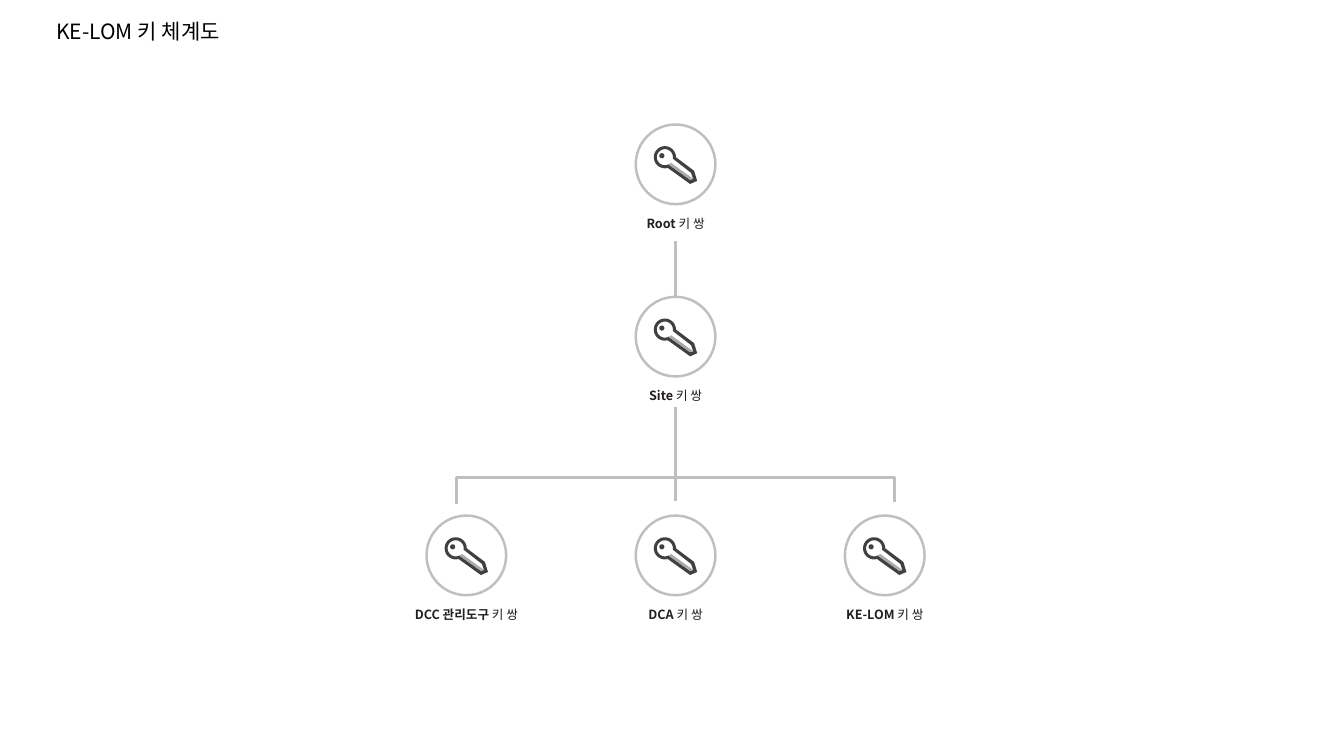
from math import cos, radians, sin

from lxml import etree
from pptx import Presentation
from pptx.dml.color import RGBColor
from pptx.enum import shapes, text
from pptx.oxml import ns
from pptx.util import Inches, Pt

FONT = "Noto Sans CJK KR"
GREY = "BFBFBF"
MID = 6.7
STEP = 2.075
BOW = (-0.105, -0.07)  # centre of the key's round end, from the circle's centre
DOT = (-0.135, -0.085)
PRODUCT = "KE-LOM "
LEVELS = [
    (1.63, ["Root "]),
    (3.34, ["Site "]),
    (5.51, ["DCC 관리도구 ", "DCA ", PRODUCT]),
]


def color(code):
    return RGBColor.from_string(code)


def add_run(para, words, size, code, bold=False):
    run = para.add_run()
    run.text = words
    font = run.font
    font.name, font.size, font.bold = FONT, Pt(size), bold
    font.color.rgb = color(code)
    east = etree.SubElement(font._element, ns.qn("a:ea"))
    east.set("typeface", FONT)


def add_title(slide):
    title = slide.shapes.title
    title.left, title.top = Inches(0.46), Inches(0.17)
    title.width, title.height = Inches(12.2), Inches(0.31)
    frame = title.text_frame
    frame.auto_size = text.MSO_AUTO_SIZE.NONE
    frame.vertical_anchor = text.MSO_ANCHOR.BOTTOM
    para = frame.paragraphs[0]
    para.alignment = text.PP_ALIGN.LEFT
    para.line_spacing = 0.7
    add_run(para, PRODUCT + "키 체계도", 15, "000000")


def add_line(slide, start, end, kind=shapes.MSO_CONNECTOR.STRAIGHT):
    ends = [Inches(v) for v in (*start, *end)]
    line = slide.shapes.add_connector(kind, *ends)
    line.line.color.rgb = color(GREY)
    line.line.width = Pt(2)
    etree.SubElement(line._element.spPr, ns.qn("a:effectLst"))
    return line


def add_fork(slide):
    """Elbow line turned a quarter, so that its crossbar lies above both ends."""
    fork = add_line(slide, (6.71, 7.17), (6.69, 2.82), shapes.MSO_CONNECTOR.ELBOW)
    props = fork._element.spPr
    props.find(ns.qn("a:xfrm")).set("rot", "5400000")
    guides = props.find(ns.qn("a:prstGeom")).find(ns.qn("a:avLst"))
    bend = etree.SubElement(guides, ns.qn("a:gd"))
    bend.set("name", "adj1")
    bend.set("fmla", "val 1350000")


def arc(mid, radius, first, last):
    turns = [radians(first + (last - first) * i / 24) for i in range(25)]
    return [(mid[0] + radius * cos(t), mid[1] + radius * sin(t)) for t in turns]


def add_free(group, x, y, fill, *rings):
    """Draw closed rings, given from the centre x, y; inner rings are holes."""
    build = None
    for ring in rings:
        first, *rest = [(Inches(x + a), Inches(y + b)) for a, b in ring]
        if build is None:
            build = group.shapes.build_freeform(*first)
        else:
            build.move_to(*first)
        build.add_line_segments(rest, close=True)
    free = build.convert_to_shape()
    free.shadow.inherit = False
    free.fill.solid()
    free.fill.fore_color.rgb = color(fill)
    free.line.fill.background()


def add_key(group, x, y):
    body = arc(BOW, 0.1, 65, 365) + [(0.175, 0.075), (0.195, 0.155), (0.145, 0.175)]
    outer = arc(BOW, 0.11, 75, 360) + [(0.185, 0.065), (0.215, 0.165), (0.145, 0.195)]
    inner = arc(BOW, 0.08, 60, 370) + [(0.155, 0.085), (0.175, 0.145),
                                       (0.145, 0.155), (-0.065, 0.005)]
    shade = [(-0.045, -0.015), (-0.065, 0.005), (0.145, 0.155), (0.175, 0.145)]
    add_free(group, x, y, "FFFFFF", body)
    add_free(group, x, y, "404041", outer, inner, arc(DOT, 0.025, 0, 360))
    add_free(group, x, y, "A7A9AC", shade)


def add_label(group, x, y, name):
    box = group.shapes.add_textbox(
        Inches(x - 0.545), Inches(y + 0.51), Inches(1.09), Inches(0.15))
    frame = box.text_frame
    frame.margin_left = frame.margin_right = 0
    frame.margin_top = frame.margin_bottom = 0
    frame.word_wrap = True
    frame.auto_size = text.MSO_AUTO_SIZE.SHAPE_TO_FIT_TEXT
    frame.vertical_anchor = text.MSO_ANCHOR.MIDDLE
    para = frame.paragraphs[0]
    para.alignment = text.PP_ALIGN.CENTER
    add_run(para, name, 9, "231F20", True)
    add_run(para, "키 쌍", 9, "231F20")


def add_ring(group, x, y):
    size = Inches(0.79)
    ring = group.shapes.add_shape(
        shapes.MSO_SHAPE.OVAL, Inches(x - 0.395), Inches(y - 0.395), size, size)
    ring.shadow.inherit = False
    ring.fill.solid()
    ring.fill.fore_color.rgb = color("FFFFFF")
    ring.line.color.rgb = color(GREY)
    ring.line.width = Pt(1.75)


def add_level(slide, y, names):
    group = slide.shapes.add_group_shape()
    for i, name in enumerate(names):
        x = MID + STEP * (i - (len(names) - 1) / 2)
        add_label(group, x, y, name)
        add_ring(group, x, y)
        add_key(group, x, y)


def main():
    deck = Presentation()
    deck.slide_width, deck.slide_height = Inches(13.33), Inches(7.5)
    slide = deck.slides.add_slide(deck.slide_layouts[5])
    add_title(slide)
    add_fork(slide)
    add_line(slide, (6.7, 4.97), (6.7, 4.04))
    for y, names in LEVELS:
        add_level(slide, y, names)
    add_line(slide, (6.7, 2.95), (6.7, 2.39))
    deck.save("out.pptx")


if __name__ == "__main__":
    main()
